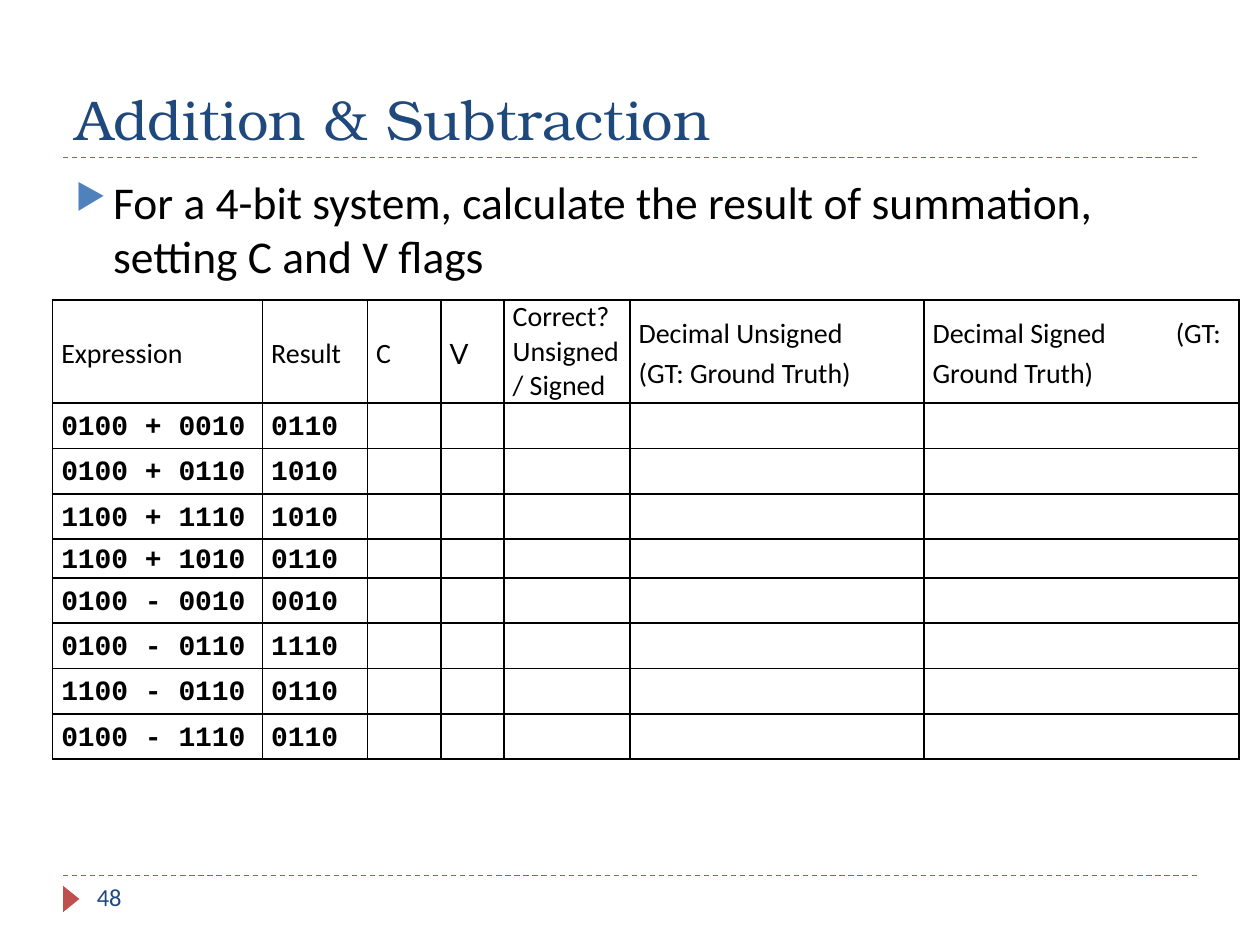
"""Build the addition and subtraction exercise slide."""
from dataclasses import dataclass
from typing import NamedTuple, Optional

from lxml import etree
from pptx import Presentation, util as u
from pptx.dml.color import RGBColor
from pptx.enum import dml, shapes, text
from pptx.oxml import ns

WIDTH, HEIGHT = 10, 7.5
COLUMN = 1 / 12
COLUMN_SPANS = (20, 10, 7, 6, 12, 28, 30)
HEADER_HEIGHT, ROW_HEIGHT, TIGHT_HEIGHT = 0.82, 0.36, 0.3
TIGHT_ROW = 4
MARGIN = 0.05 * WIDTH
RULES = (6.95, 1.25)


@dataclass(frozen=True)
class Theme:
    ink: str = "000000"
    paper: str = "FFFFFF"
    navy: str = "1F497D"
    blue: str = "4F81BD"
    red: str = "C0504D"
    heading: str = "TeX Gyre Bonum"
    body: str = "Calibri"
    code: str = "Courier New"
    letter: str = "Lato"
    title_size: int = 32
    body_size: int = 26
    cell_size: int = 16
    number_size: int = 14


THEME = Theme()


class Style(NamedTuple):
    font: str
    size: int
    color: str
    bold: bool = False


class Label(NamedTuple):
    words: str
    left: float
    top: float
    width: float
    height: float
    style: Style
    anchor: text.MSO_ANCHOR = text.MSO_ANCHOR.TOP


class Heading(NamedTuple):
    words: str
    font: str = THEME.body
    spacing: Optional[float] = 1.15


class Sum(NamedTuple):
    expression: str
    result: str


TITLE = Label("Addition & Subtraction", MARGIN, 0.17, 9, 1.08,
              Style(THEME.heading, THEME.title_size, THEME.navy), text.MSO_ANCHOR.BOTTOM)
NUMBER = Label("48", 0.67, 6.95, 2.17, 0.4, Style(THEME.body, THEME.number_size, THEME.navy))
TASK = Label("For a 4-bit system, calculate the result of summation, setting C and V flags",
             MARGIN, 1.33, 9, 5.4, Style(THEME.body, THEME.body_size, THEME.ink))
HEADINGS = (
    Heading("Expression"), Heading("Result"), Heading("C"), Heading("V", THEME.letter),
    Heading("Correct? Unsigned/ Signed", spacing=None),
    Heading("Decimal Unsigned\v(GT: Ground Truth)"),
    Heading("Decimal Signed\t(GT: Ground Truth)"),
)
SUMS = (
    Sum("0100 + 0010", "0110"), Sum("0100 + 0110", "1010"),
    Sum("1100 + 1110", "1010"), Sum("1100 + 1010", "0110"),
    Sum("0100 - 0010", "0010"), Sum("0100 - 0110", "1110"),
    Sum("1100 - 0110", "0110"), Sum("0100 - 1110", "0110"),
)


def add_element(parent, tag: str, **attributes: object):
    """Append a drawing element with the given attributes."""
    values = {name: str(value) for name, value in attributes.items()}
    return etree.SubElement(parent, ns.qn(tag), values)


def style_runs(para, style: Style) -> None:
    """Format every run of a paragraph."""
    for span in para.runs:
        span.font.name, span.font.size = style.font, u.Pt(style.size)
        span.font.bold = style.bold
        span.font.color.rgb = RGBColor.from_string(style.color)


def add_label(page, label: Label):
    """Add a wrapped text box and return its paragraph."""
    box = page.shapes.add_textbox(*map(u.Inches, label[1:5]))
    frame = box.text_frame
    frame.word_wrap, frame.vertical_anchor = True, label.anchor
    frame.text = label.words
    style_runs(frame.paragraphs[0], label.style)
    return frame.paragraphs[0]


def add_bullet(para) -> None:
    """Give a paragraph a hanging triangle bullet."""
    para.space_before = u.Pt(6)
    properties = para._p.get_or_add_pPr()
    properties.set("marL", str(u.Inches(0.3)))
    properties.set("indent", str(u.Inches(-0.3)))
    add_element(add_element(properties, "a:buClr"), "a:srgbClr", val=THEME.blue)
    add_element(properties, "a:buSzPct", val=76000)
    add_element(properties, "a:buChar", char="▶")


def add_rule(page, top: float) -> None:
    """Draw a dashed rule between the margins."""
    ends = map(u.Inches, (MARGIN, top, WIDTH - MARGIN, top))
    rule = page.shapes.add_connector(shapes.MSO_CONNECTOR.STRAIGHT, *ends)
    rule.line.color.rgb = RGBColor.from_string(THEME.red)
    rule.line.width, rule.line.dash_style = u.Pt(0.75), dml.MSO_LINE.DASH
    add_element(rule._element.spPr, "a:effectLst")


def add_marker(page) -> None:
    """Draw the triangle beside the page number."""
    marker = page.shapes.add_shape(shapes.MSO_SHAPE.ISOSCELES_TRIANGLE,
                                   *map(u.Inches, (0.46, 7.07, 0.21, 0.13)))
    marker.rotation, marker.shadow.inherit = 90, False
    marker.fill.solid()
    marker.fill.fore_color.rgb = RGBColor.from_string(THEME.red)
    marker.line.fill.background()


def format_cell(cell) -> None:
    """Set the insets, borders and fill of a cell."""
    cell.margin_left = cell.margin_right = u.Inches(0.07)
    cell.margin_top = cell.margin_bottom = 0
    cell.vertical_anchor = text.MSO_ANCHOR.MIDDLE
    properties = cell._tc.get_or_add_tcPr()
    for side in ("a:lnL", "a:lnR", "a:lnT", "a:lnB"):
        border = add_element(properties, side, w=u.Pt(1))
        add_element(add_element(border, "a:solidFill"), "a:srgbClr", val=THEME.ink)
    cell.fill.solid()
    cell.fill.fore_color.rgb = RGBColor.from_string(THEME.paper)


def write_cell(cell, words: str, style: Style, spacing: Optional[float]) -> None:
    """Write one paragraph into a cell, with a stop for any tab."""
    para = cell.text_frame.paragraphs[0]
    para.text, para.line_spacing = words, spacing
    style_runs(para, style)
    if "\t" in words:
        stops = add_element(para._p.get_or_add_pPr(), "a:tabLst")
        add_element(stops, "a:tab", pos=u.Inches(1.93), algn="l")


def add_sums(page) -> None:
    """Add the exercise table with empty answer columns."""
    heights = [HEADER_HEIGHT] + [ROW_HEIGHT] * len(SUMS)
    heights[TIGHT_ROW] = TIGHT_HEIGHT
    bounds = map(u.Inches, (5 * COLUMN, 2.38, sum(COLUMN_SPANS) * COLUMN, sum(heights)))
    table = page.shapes.add_table(len(heights), len(COLUMN_SPANS), *bounds).table
    table.first_row = table.horz_banding = False
    for column, span in zip(table.columns, COLUMN_SPANS):
        column.width = u.Inches(span * COLUMN)
    for row, height in zip(table.rows, heights):
        row.height = u.Inches(height)
    for cell in table.iter_cells():
        format_cell(cell)
    for cell, heading in zip(table.rows[0].cells, HEADINGS):
        style = Style(heading.font, THEME.cell_size, THEME.ink)
        write_cell(cell, heading.words, style, heading.spacing)
    code = Style(THEME.code, THEME.cell_size, THEME.ink, True)
    for index, entry in enumerate(SUMS, 1):
        for cell, words in zip(table.rows[index].cells, entry):
            write_cell(cell, words, code, 1.15)


def main() -> None:
    """Assemble and save the deck."""
    deck = Presentation()
    deck.slide_width, deck.slide_height = u.Inches(WIDTH), u.Inches(HEIGHT)
    page = deck.slides.add_slide(deck.slide_layouts[6])
    for top in RULES:
        add_rule(page, top)
    add_marker(page)
    add_label(page, TITLE)
    add_label(page, NUMBER)
    add_bullet(add_label(page, TASK))
    add_sums(page)
    deck.save("out.pptx")


if __name__ == "__main__":
    main()
